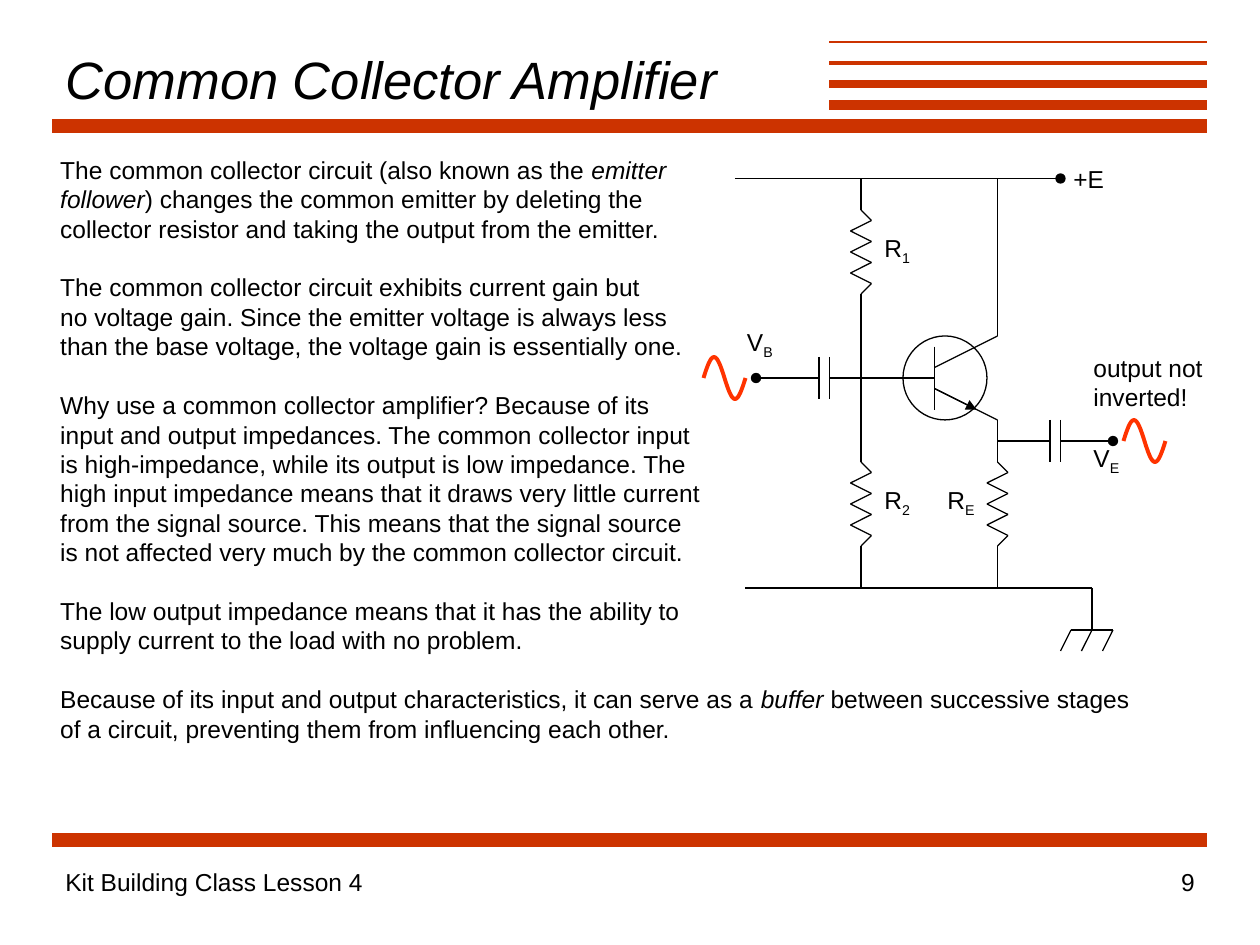
from dataclasses import dataclass
from math import pi, sin

from lxml.etree import SubElement
from pptx import Presentation
from pptx.dml.color import RGBColor
from pptx.enum.shapes import MSO_CONNECTOR, MSO_SHAPE
from pptx.enum.text import MSO_ANCHOR, PP_ALIGN
from pptx.oxml.ns import qn
from pptx.util import Inches, Length, Pt

BLACK = RGBColor(0x00, 0x00, 0x00)
RUST = RGBColor(0xCC, 0x33, 0x00)
RED = RGBColor(0xFF, 0x33, 0x00)
FONT = {"name": "Arial", "size": Pt(14), "italic": False}
LEAD = Pt(16.8)
THIN = 0.75

Point = tuple[float, float]


@dataclass
class Wire:
    points: list[Point]
    tip: str = ""
    color: RGBColor = BLACK
    weight: float = THIN


@dataclass
class Label:
    """Text box in inches; *x* is italic and R_1 has a subscript."""
    left: float
    top: float
    width: float
    height: float
    blocks: list[str]
    align: PP_ALIGN = PP_ALIGN.LEFT


def grid(n: float) -> Length:
    """The drawing sits on a grid of twelfths of an inch."""
    return Inches(n / 12)


def style(font, **more) -> None:
    for key, value in (FONT | more).items():
        setattr(font, key, value)
    font.color.rgb = BLACK


def draw(shapes, wire: Wire) -> None:
    """Draw one straight line per pair of points, with the tip on the last."""
    for a, b in zip(wire.points, wire.points[1:]):
        line = shapes.add_connector(MSO_CONNECTOR.STRAIGHT, *map(grid, a + b))
        line.line.color.rgb = wire.color
        line.line.width = Pt(wire.weight)
        SubElement(line._element.spPr, qn("a:effectLst"))
    if wire.tip:
        SubElement(line.line._get_or_add_ln(), qn("a:tailEnd"), type=wire.tip)


def zigzag(x: float, y: float) -> Wire:
    bends = [(x + (1 if i % 2 else -1), y + i) for i in range(1, 8)]
    return Wire([(x, y), *bends, (x, y + 8)])


def plates(x: float, y: float) -> list[Wire]:
    """A capacitor whose plates stand at x and x + 1."""
    return [Wire([(n, y - 2), (n, y + 2)]) for n in (x, x + 1)]


def wave(shapes, x: float, y: float) -> None:
    steps = 32
    points = [(grid(x + 4 * i / steps), grid(y - 2 * sin(2 * pi * i / steps)))
              for i in range(steps + 1)]
    pen = shapes.build_freeform(*points[0])
    pen.add_line_segments(points[1:], close=False)
    curve = pen.convert_to_shape()
    curve.shadow.inherit = False
    curve.fill.background()
    curve.line.color.rgb = RED
    curve.line.width = Pt(2.25)


def write(shapes, label: Label) -> None:
    size = (label.left, label.top, label.width, label.height)
    frame = shapes.add_textbox(*map(Inches, size)).text_frame
    frame.word_wrap = True
    for i, block in enumerate(label.blocks):
        para = frame.add_paragraph() if i else frame.paragraphs[0]
        para.alignment = label.align
        para.line_spacing = LEAD
        para.space_before = LEAD if i else Pt(0)
        for j, row in enumerate(block.split("\n")):
            if j:
                para.add_line_break()
            for k, part in enumerate(row.split("*")):
                for m, bit in enumerate(part.split("_")):
                    if not bit:
                        continue
                    run = para.add_run()
                    run.text = bit
                    style(run.font, italic=k % 2 == 1)
                    if m:
                        run._r.get_or_add_rPr().set("baseline", "-25000")


RULES = [Wire([(left, y), (115, y)], color=RUST, weight=weight)
         for left, y, weight in [(5, 12, 8), (79, 10, 6), (79, 8, 4.5),
                                 (79, 6, 2.25), (79, 4, 1.5), (5, 80, 8)]]

CIRCUIT = [
    # transistor
    Wire([(89, 33), (89, 39)]),
    Wire([(89, 35), (95, 32)]),
    Wire([(89, 37), (93, 39)], "triangle"),
    Wire([(89, 37), (95, 40)]),
    Wire([(89, 36), (84, 36)]),
    # supply and collector
    Wire([(70, 17), (101, 17)], "oval"),
    Wire([(95, 17), (95, 32)]),
    # input and bias
    Wire([(78, 36), (72, 36)], "oval"),
    *plates(78, 36),
    Wire([(79, 36), (83, 36), (86, 36)]),
    Wire([(82, 17), (82, 20)]),
    zigzag(82, 20),
    Wire([(82, 28), (82, 36), (82, 44)]),
    zigzag(82, 44),
    Wire([(82, 52), (82, 56)]),
    # emitter and output
    Wire([(95, 40), (95, 44)]),
    zigzag(95, 44),
    Wire([(95, 52), (95, 56)]),
    Wire([(95, 42), (100, 42)]),
    *plates(100, 42),
    Wire([(101, 42), (106, 42)], "oval"),
    # ground
    Wire([(71, 56), (104, 56), (104, 60)]),
    Wire([(102, 60), (106, 60)]),
    *[Wire([(x, 60), (x - 1, 62)]) for x in (102, 104, 106)],
]

BODY = [
    """The common collector circuit (also known as the *emitter*
*follower*) changes the common emitter by deleting the
collector resistor and taking the output from the emitter.""",
    """The common collector circuit exhibits current gain but
no voltage gain. Since the emitter voltage is always less
than the base voltage, the voltage gain is essentially one.""",
    """Why use a common collector amplifier? Because of its
input and output impedances. The common collector input
is high-impedance, while its output is low impedance. The
high input impedance means that it draws very little current
from the signal source. This means that the signal source
is not affected very much by the common collector circuit.""",
    """The low output impedance means that it has the ability to
supply current to the load with no problem.""",
    """Because of its input and output characteristics, it can serve as a *buffer* between successive stages
of a circuit, preventing them from influencing each other.""",
]

LABELS = [
    Label(8.42, 1.25, 0.5, 0.34, ["+E"]),
    *[Label(x, y, 0.5, 0.37, [text]) for x, y, text in [
        (6.92, 1.83, "R_1"), (6.92, 3.83, "R_2"), (7.42, 3.83, "R_E"),
        (5.83, 2.58, "V_B"), (8.58, 3.5, "V_E")]],
    Label(0.38, 1.18, 8.8, 4.77, BODY),
    Label(8.58, 2.75, 1.1, 0.57, ["output not\ninverted!"]),
    Label(0.42, 6.83, 6.92, 0.5, ["Kit Building Class Lesson 4"]),
    Label(7.5, 6.83, 2.08, 0.5, ["9"], PP_ALIGN.RIGHT),
]


def main() -> None:
    deck = Presentation()
    deck.slide_width, deck.slide_height = Inches(10), Inches(7.5)
    shapes = deck.slides.add_slide(deck.slide_layouts[5]).shapes

    title = shapes.title
    place = {"left": 0.42, "top": 0.33, "width": 6.17, "height": 0.58}
    for key, value in place.items():
        setattr(title, key, Inches(value))
    title.text_frame.text = "Common Collector Amplifier"
    title.text_frame.vertical_anchor = MSO_ANCHOR.MIDDLE
    para = title.text_frame.paragraphs[0]
    para.alignment = PP_ALIGN.LEFT
    style(para.runs[0].font, size=Pt(30), italic=True)

    for wire in RULES + CIRCUIT:
        draw(shapes, wire)
    ring = shapes.add_shape(MSO_SHAPE.OVAL, *map(grid, (86, 32, 8, 8)))
    ring.shadow.inherit = False
    ring.fill.background()
    ring.line.color.rgb = BLACK
    ring.line.width = Pt(THIN)
    wave(shapes, 67, 36)
    wave(shapes, 107, 42)
    for label in LABELS:
        write(shapes, label)
    deck.save("out.pptx")


if __name__ == "__main__":
    main()
